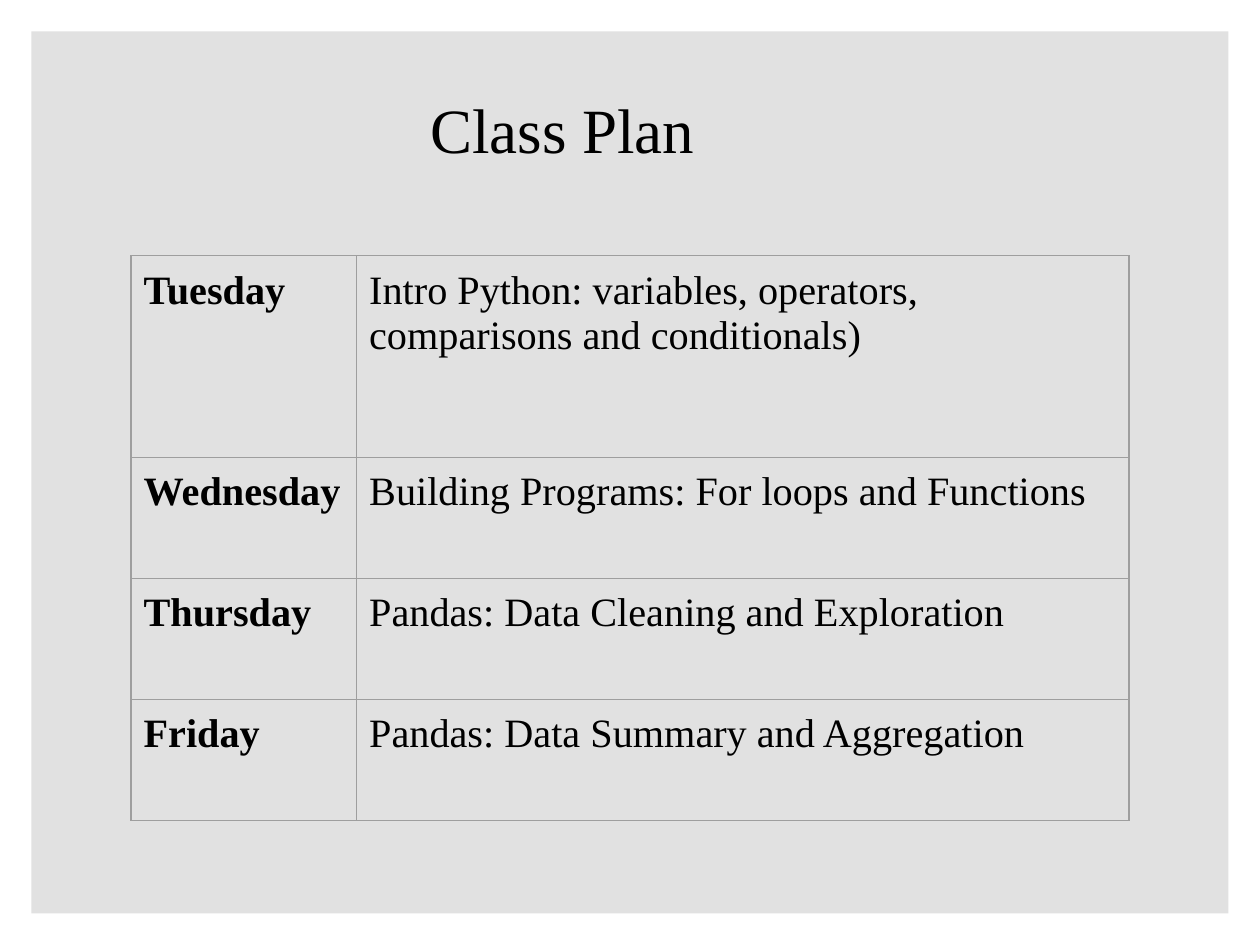
from lxml.etree import SubElement
from pptx import Presentation
from pptx.dml.color import RGBColor as Color
from pptx.enum.shapes import MSO_SHAPE as Shape
from pptx.enum.text import MSO_ANCHOR as Anchor, PP_ALIGN as Align
from pptx.oxml.ns import qn
from pptx.util import Inches, Pt

WIDTH, HEIGHT = Inches(10), Inches(7.5)
MARGIN = Inches(0.25)
FONT = "Times New Roman"
COLORS = {"panel": "E1E1E1", "text": "000000", "border": "9E9E9E"}
COLUMNS = [1.79, 6.13]
ROWS = [1.6, 0.96, 0.96, 0.96]
PLAN = [
    ("Tuesday", "Intro Python: variables, operators, comparisons and conditionals)"),
    ("Wednesday", "Building Programs: For loops and Functions"),
    ("Thursday", "Pandas: Data Cleaning and Exploration"),
    ("Friday", "Pandas: Data Summary and Aggregation"),
]


def add_text(para, text, size, bold=False):
    span = para.add_run()
    span.text = text
    span.font.name = FONT
    span.font.size = Pt(size)
    span.font.bold = bold
    span.font.color.rgb = Color.from_string(COLORS["text"])


def add_panel(page):
    panel = page.shapes.add_shape(
        Shape.RECTANGLE, MARGIN, MARGIN, WIDTH - 2 * MARGIN, HEIGHT - 2 * MARGIN)
    panel.shadow.inherit = False
    panel.fill.solid()
    panel.fill.fore_color.rgb = Color.from_string(COLORS["panel"])
    panel.line.fill.background()
    page.shapes.title.element.addprevious(panel.element)


def set_title(page, text):
    box = page.shapes.title
    box.left, box.top = Inches(0.51), Inches(0.48)
    box.width, box.height = Inches(7.91), Inches(1.07)
    box.text_frame.vertical_anchor = Anchor.MIDDLE
    para = box.text_frame.paragraphs[0]
    para.alignment = Align.CENTER
    add_text(para, text, 36)


def set_borders(cell):
    properties = cell._tc.get_or_add_tcPr()
    for side in ("a:lnL", "a:lnR", "a:lnT", "a:lnB"):
        line = SubElement(properties, qn(side), w=str(Pt(0.75)))
        fill = SubElement(line, qn("a:solidFill"))
        SubElement(fill, qn("a:srgbClr"), val=COLORS["border"])


def fill_cell(cell, text, bold):
    set_borders(cell)
    cell.fill.background()
    cell.margin_left = cell.margin_right = Inches(0.1)
    cell.margin_top = cell.margin_bottom = Inches(0.1)
    cell.vertical_anchor = Anchor.TOP
    add_text(cell.text_frame.paragraphs[0], text, 23, bold)


def add_plan(page):
    table = page.shapes.add_table(
        len(ROWS), len(COLUMNS), Inches(1.04), Inches(2.03),
        Inches(sum(COLUMNS)), Inches(sum(ROWS))).table
    table.first_row = table.horz_banding = False
    for column, width in zip(table.columns, COLUMNS):
        column.width = Inches(width)
    for row, height, texts in zip(table.rows, ROWS, PLAN):
        row.height = Inches(height)
        for index, (cell, text) in enumerate(zip(row.cells, texts)):
            fill_cell(cell, text, bold=index == 0)


def main():
    deck = Presentation()
    deck.slide_width, deck.slide_height = WIDTH, HEIGHT
    page = deck.slides.add_slide(deck.slide_layouts[5])
    add_panel(page)
    set_title(page, "Class Plan")
    add_plan(page)
    deck.save("out.pptx")


if __name__ == "__main__":
    main()
